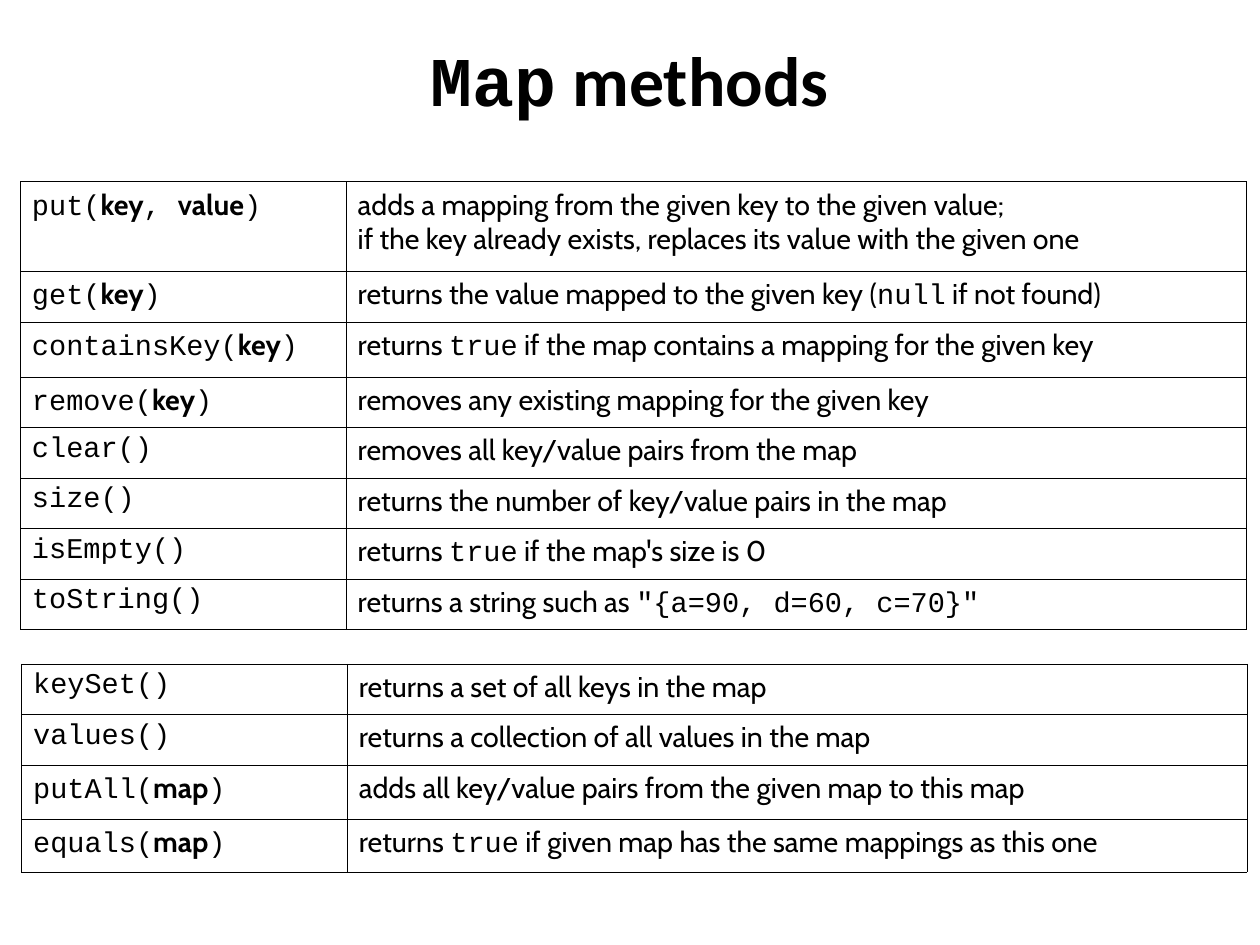
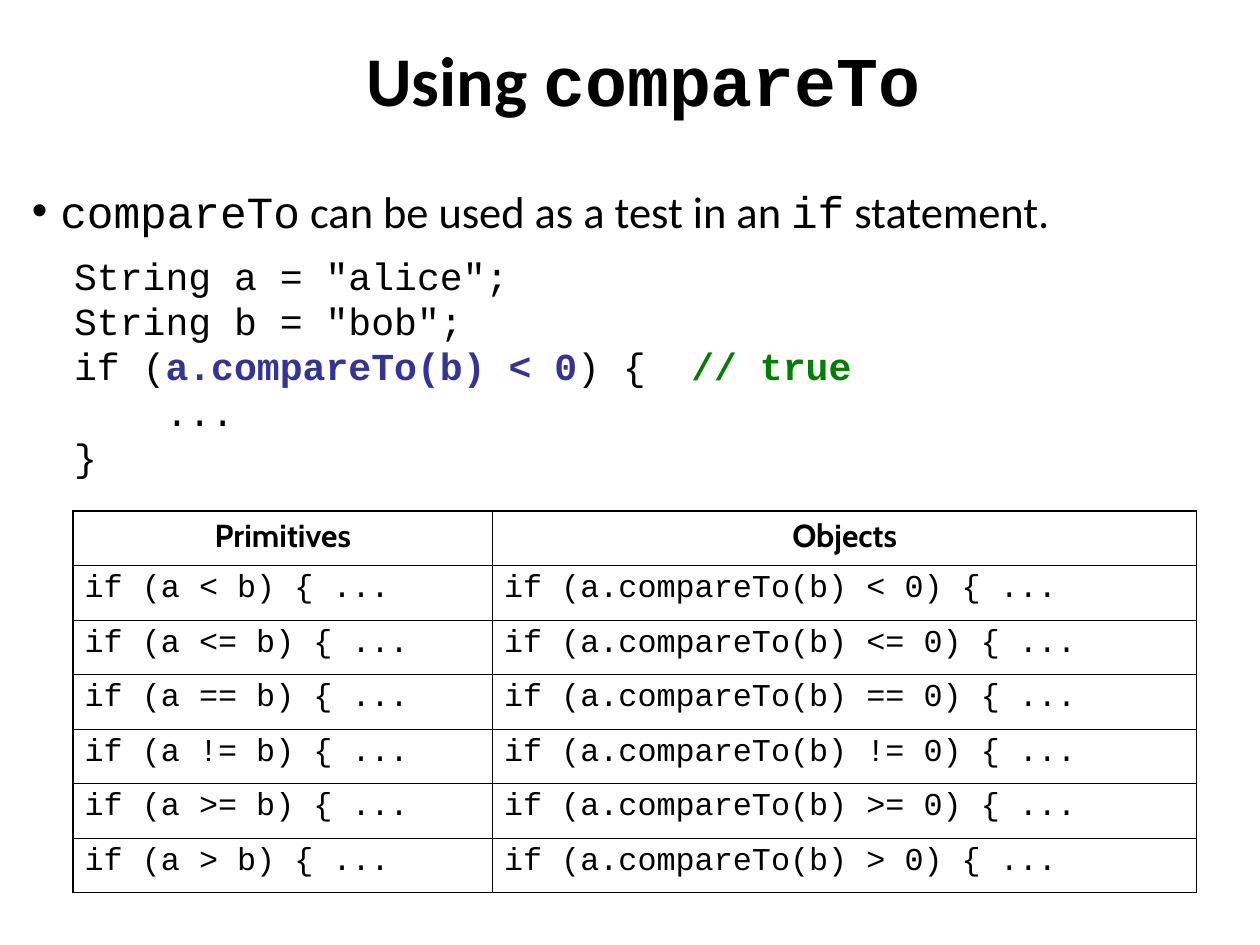
import itertools
import pptx
import pptx.util
import pptx.dml.color
import pptx.enum.text
import pptx.oxml
import pptx.oxml.ns

Inches = pptx.util.Inches
Pt = pptx.util.Pt
Cm = pptx.util.Cm
LEFT = pptx.enum.text.PP_ALIGN.LEFT
CENTER = pptx.enum.text.PP_ALIGN.CENTER

COLORS = {"ink": "000000", "paper": "FFFFFF", "test": "333399", "comment": "008000"}

STYLES = {
    "title": ("Calibri", True, "ink"),
    "title code": ("Courier New", True, "ink"),
    "body": ("Calibri", False, "ink"),
    "code": ("Courier New", False, "ink"),
    "test": ("Courier New", True, "test"),
    "comment": ("Courier New", True, "comment"),
    "prose": ("Cabin", False, "ink"),
    "strong": ("Cabin", True, "ink"),
}

METHOD = ("code", "strong")
DESCRIPTION = ("prose", "code")

BASIC_METHODS = [
    (0.78, ["put(", "key", ", ", "value", ")"],
     ["adds a mapping from the given key to the given value;\n"
      "if the key already exists, replaces its value with the given one"]),
    (0.44, ["get(", "key", ")"],
     ["returns the value mapped to the given key (", "null", " if not found)"]),
    (0.48, ["containsKey(", "key", ")"],
     ["returns ", "true", " if the map contains a mapping for the given key"]),
    (0.44, ["remove(", "key", ")"], ["removes any existing mapping for the given key"]),
    (0.44, ["clear()"], ["removes all key/value pairs from the map"]),
    (0.44, ["size()"], ["returns the number of key/value pairs in the map"]),
    (0.44, ["isEmpty()"], ["returns ", "true", " if the map's size is 0"]),
    (0.44, ["toString()"], ["returns a string such as ", '"{a=90, d=60, c=70}"']),
]

BULK_METHODS = [
    (0.44, ["keySet()"], ["returns a set of all keys in the map"]),
    (0.44, ["values()"], ["returns a collection of all values in the map"]),
    (0.47, ["putAll(", "map", ")"],
     ["adds all key/value pairs from the given map to this map"]),
    (0.46, ["equals(", "map", ")"],
     ["returns ", "true", " if given map has the same mappings as this one"]),
]

POINT = ["compareTo", " can be used as a test in an ", "if", " statement."]
CODE = [
    ['String a = "alice";'],
    ['String b = "bob";'],
    ["if (", "a.compareTo(b) < 0", ") {  ", "// true"],
    ["    ..."],
    ["}"],
]
OPERATORS = ["<", "<=", "==", "!=", ">=", ">"]


def rgb(name):
    return pptx.dml.color.RGBColor.from_string(COLORS[name])


def write(p, pieces, styles, size, align=LEFT, before=0, line=None,
          margin=0, indent=0, bullet=None):
    pPr = p._p.get_or_add_pPr()
    pPr.set("marL", str(Inches(margin)))
    pPr.set("indent", str(Inches(indent)))
    if bullet:
        ns = pptx.oxml.ns.nsdecls("a")
        pPr.append(pptx.oxml.parse_xml(f'<a:buFont {ns} typeface="Arial"/>'))
        pPr.append(pptx.oxml.parse_xml(f'<a:buChar {ns} char="{bullet}"/>'))
    p.alignment = align
    p.space_before = Pt(before)
    if line:
        p.line_spacing = line
    for piece, style in zip(pieces, itertools.cycle(styles)):
        font, bold, color = STYLES[style]
        for i, text in enumerate(piece.split("\n")):
            if i:
                p.add_line_break()
            r = p.add_run()
            r.text = text
            r.font.name = font
            r.font.size = Pt(size)
            r.font.bold = bold
            r.font.color.rgb = rgb(color)


def add_box(s, x, y, w, h):
    tf = s.shapes.add_textbox(*map(Inches, (x, y, w, h))).text_frame
    tf.word_wrap = True
    return tf


def add_title(s, pieces, styles, margin=0):
    tf = add_box(s, 0.55, 0, 9.92, 1.38)
    tf.vertical_anchor = pptx.enum.text.MSO_ANCHOR.MIDDLE
    write(tf.paragraphs[0], pieces, styles, 44, align=CENTER, margin=margin)


def set_borders(cell, widths):
    tcPr = cell._tc.get_or_add_tcPr()
    for i, (side, width) in enumerate(zip("LRTB", widths)):
        tcPr.insert(i, pptx.oxml.parse_xml(
            f'<a:ln{side} {pptx.oxml.ns.nsdecls("a")} w="{Pt(width)}">'
            f'<a:solidFill><a:srgbClr val="{COLORS["ink"]}"/></a:solidFill></a:ln{side}>'))


def add_grid(s, x, y, height, widths, shares, rows, size, outer=0.45, inner=0.45):
    table = s.shapes.add_table(len(rows), len(widths), Inches(x), Inches(y),
                               Inches(sum(widths)), Inches(height)).table
    table.first_row = table.horz_banding = False
    for column, width in zip(table.columns, widths):
        column.width = Inches(width)
    for row, share in zip(table.rows, shares):
        row.height = Inches(height * share / sum(shares))
    for i, row in enumerate(rows):
        for j, (pieces, styles, layout) in enumerate(row):
            cell = table.cell(i, j)
            cell.fill.solid()
            cell.fill.fore_color.rgb = rgb("paper")
            edges = (j == 0, j == len(widths) - 1, i == 0, i == len(rows) - 1)
            set_borders(cell, [outer if edge else inner for edge in edges])
            write(cell.text_frame.paragraphs[0], pieces, styles, size, **layout)


def add_methods(s, x, y, height, methods):
    rows = [[(call, METHOD, {}), (text, DESCRIPTION, {})] for _, call, text in methods]
    add_grid(s, x, y, height, [2.85, 7.87], [m[0] for m in methods], rows, 18)


def build_map_methods(s):
    add_title(s, ["Map", " methods"], ("title code", "title"))
    add_methods(s, 0.18, 1.59, 3.92, BASIC_METHODS)
    add_methods(s, 0.19, 5.81, 1.82, BULK_METHODS)


def build_compare(s):
    add_title(s, ["Using ", "compareTo"], ("title", "title code"), margin=0.24)
    tf = add_box(s, 0.18, 1.56, 10.84, 2.8)
    write(tf.paragraphs[0], POINT, ("code", "body"), 28,
          margin=0.25, indent=-0.25, bullet="•")
    for i, pieces in enumerate(CODE):
        write(tf.add_paragraph(), pieces, ("code", "test", "code", "comment"), 24,
              before=5.5 if i else 15, line=0.8, margin=0.68, indent=-0.31)

    head = {"align": CENTER}
    rows = [[([name], ("strong",), head) for name in ("Primitives", "Objects")]]
    for op in OPERATORS:
        tests = (f"if (a {op} b) {{ ...", f"if (a.compareTo(b) {op} 0) {{ ...")
        rows.append([([test], ("code",), {}) for test in tests])
    add_grid(s, 0.64, 4.47, 3.34, [3.67, 6.16], [1] * len(rows), rows, 20, outer=1.08)


def main():
    prs = pptx.Presentation()
    prs.slide_width = Cm(28)
    prs.slide_height = Cm(21)
    for build in (build_map_methods, build_compare):
        s = prs.slides.add_slide(prs.slide_layouts[6])
        build(s)
    prs.save("out.pptx")


if __name__ == "__main__":
    main()
